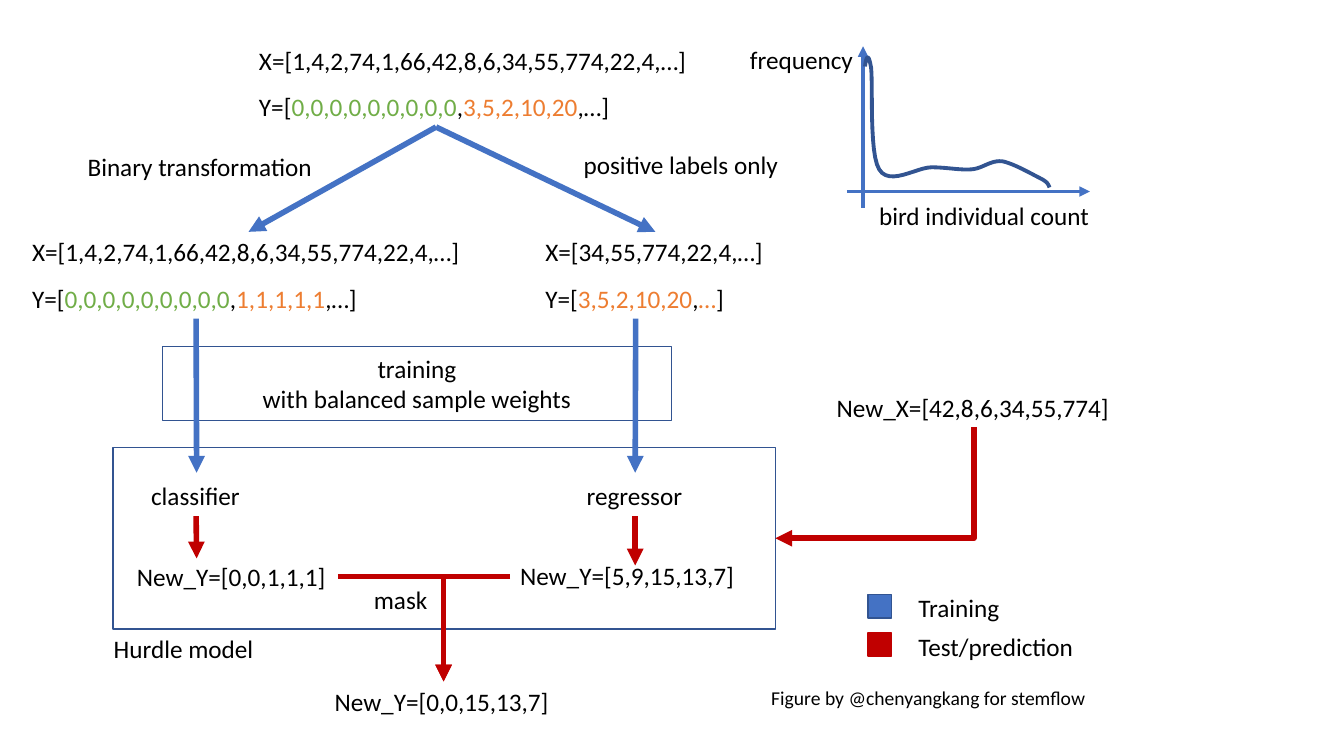
import dataclasses

import pptx
import pptx.dml.color
import pptx.enum.shapes
import pptx.enum.text
import pptx.oxml
import pptx.oxml.ns
import pptx.util

Inches = pptx.util.Inches
RECTANGLE = pptx.enum.shapes.MSO_SHAPE.RECTANGLE
CONNECTOR = pptx.enum.shapes.MSO_CONNECTOR
ALIGN = pptx.enum.text.PP_ALIGN
TOP, BOTTOM = 0, 2
LINE_HEIGHT = 0.4


@dataclasses.dataclass(frozen=True)
class Theme:
    font: str = "Calibri"
    body: int = 18
    credit: int = 14
    text: str = "000000"
    training: str = "4472C4"
    prediction: str = "C00000"
    outline: str = "325491"
    zero: str = "70AD47"
    positive: str = "ED7D31"
    flow_width: float = 4
    axis_width: float = 2.5
    curve_width: float = 2.75


THEME = Theme()


def rgb(value):
    return pptx.dml.color.RGBColor.from_string(value)


def write(frame, text, size=THEME.body, align=ALIGN.LEFT):
    """Fill a frame; text is a string or a list of (text, colour) runs."""
    runs = [(text, THEME.text)] if isinstance(text, str) else text
    paragraph = frame.paragraphs[0]
    paragraph.alignment = align
    for content, colour in runs:
        run = paragraph.add_run()
        run.text = content
        run.font.name = THEME.font
        run.font.size = pptx.util.Pt(size)
        run.font.color.rgb = rgb(colour)


def label(slide, text, left, top, width, height=LINE_HEIGHT, **text_format):
    shape = slide.shapes.add_textbox(*map(Inches, (left, top, width, height)))
    shape.text_frame.word_wrap = False
    shape.text_frame.auto_size = pptx.enum.text.MSO_AUTO_SIZE.SHAPE_TO_FIT_TEXT
    write(shape.text_frame, text, **text_format)
    return shape


def rectangle(slide, box, fill=None, line=THEME.outline):
    shape = slide.shapes.add_shape(RECTANGLE, *map(Inches, box))
    shape.shadow.inherit = False
    if fill:
        shape.fill.solid()
        shape.fill.fore_color.rgb = rgb(fill)
    else:
        shape.fill.background()
    shape.line.color.rgb = rgb(line)
    shape.line.width = pptx.util.Pt(1)
    return shape


def arrow(slide, begin, end, colour, width=THEME.flow_width, kind=CONNECTOR.STRAIGHT):
    connector = slide.shapes.add_connector(kind, *map(Inches, (*begin, *end)))
    connector.line.color.rgb = rgb(colour)
    connector.line.width = pptx.util.Pt(width)
    line = connector.line._get_or_add_ln()
    pptx.oxml.ns.qn("a:ln")
    line.append(pptx.oxml.parse_xml(
        f'<a:tailEnd {pptx.oxml.ns.nsdecls("a")} type="triangle"/>'))
    connector._element.spPr.append(pptx.oxml.parse_xml(
        f'<a:effectLst {pptx.oxml.ns.nsdecls("a")}/>'))
    return connector


def corner_arrow(slide, begin, end, colour, down_first=False):
    """Arrow with a single right-angled bend."""
    if down_first:
        # Swap the sides about the centre, then turn a quarter clockwise
        middle_x, middle_y = (begin[0] + end[0]) / 2, (begin[1] + end[1]) / 2
        half_x, half_y = abs(end[0] - begin[0]) / 2, abs(end[1] - begin[1]) / 2
        begin = (middle_x - half_y, middle_y - half_x)
        end = (middle_x + half_y, middle_y + half_x)
    connector = arrow(slide, begin, end, colour, kind=CONNECTOR.ELBOW)
    properties = connector._element.spPr
    properties.find(pptx.oxml.ns.qn("a:prstGeom")).set("prst", "bentConnector2")
    if down_first:
        properties.find(pptx.oxml.ns.qn("a:xfrm")).set("rot", "5400000")


def dataset(slide, left, top, x_text, x_width, y_runs, y_width):
    """An X line above a Y line."""
    x_label = label(slide, x_text, left, top, x_width)
    y_label = label(slide, y_runs, left, top + 0.46, y_width)
    return x_label, y_label


def frequency_chart(slide, left, top):
    """Sketch of the zero-inflated distribution."""
    label(slide, "frequency", left, top, 1.24)
    label(slide, "bird individual count", left + 1.28, top + 1.55, 2.31)
    origin_x, origin_y = left + 1.22, top + 1.51
    for begin, end in (((-0.16, 0), (2.25, 0)), ((0, 0.16), (0, -1.44))):
        arrow(slide, (origin_x + begin[0], origin_y + begin[1]),
              (origin_x + end[0], origin_y + end[1]),
              THEME.training, THEME.axis_width)

    # Bezier pieces: two handles and an end, measured from the chart's corner
    pieces = [
        ((1.25, 0.19), (1.27, 0.11), (1.3, 0.28)),
        ((1.32, 0.45), (1.28, 1.13), (1.38, 1.29)),
        ((1.48, 1.46), (1.75, 1.27), (1.9, 1.27)),
        ((2.05, 1.27), (2.18, 1.3), (2.3, 1.29)),
        ((2.41, 1.28), (2.48, 1.2), (2.6, 1.21)),
        ((2.71, 1.23), (2.9, 1.34), (2.98, 1.38)),
        ((3.06, 1.42), (3.06, 1.45), (3.07, 1.47)),
    ]
    steps = 12
    start = (1.24, 0.27)
    points = [start]
    for first, second, end in pieces:
        for t in (step / steps for step in range(1, steps + 1)):
            weights = ((1 - t) ** 3, 3 * t * (1 - t) ** 2, 3 * t ** 2 * (1 - t), t ** 3)
            points.append(tuple(
                sum(weight * value for weight, value in zip(weights, values))
                for values in zip(start, first, second, end)))
        start = end
    points = [(Inches(left + x), Inches(top + y)) for x, y in points]
    builder = slide.shapes.build_freeform(*points[0])
    builder.add_line_segments(points[1:], close=False)
    curve = builder.convert_to_shape()
    curve.shadow.inherit = False
    curve.fill.background()
    curve.line.color.rgb = rgb(THEME.outline)
    curve.line.width = pptx.util.Pt(THEME.curve_width)


def data_split(slide, left, top):
    """Full data and its two derived sets; returns the two derived Y labels."""
    full_x = "X=[1,4,2,74,1,66,42,8,6,34,55,774,22,4,…]"
    opening, comma, closing = [(part, THEME.text) for part in ("Y=[", ",", ",…]")]
    zeros = ("0,0,0,0,0,0,0,0,0", THEME.zero)
    counts = ("3,5,2,10,20", THEME.positive)
    ones = ("1,1,1,1,1", THEME.positive)
    _, source = dataset(slide, left + 2.25, top, full_x, 4.49,
                        [opening, zeros, comma, counts, closing], 3.71)
    binary = dataset(slide, left, top + 1.9, full_x, 4.49,
                     [opening, zeros, comma, ones, closing], 3.45)
    positive = dataset(slide, left + 5.09, top + 1.9, "X=[34,55,774,22,4,…]", 2.38,
                       [opening, counts, comma, ("…", THEME.positive),
                        ("]", THEME.text)], 1.99)
    for x_label, _ in (binary, positive):
        branch = arrow(slide, (left, top), (left + 1, top + 1), THEME.training)
        branch.begin_connect(source, BOTTOM)
        branch.end_connect(x_label, TOP)
    label(slide, "Binary transformation", left + 0.55, top + 1.05, 2.45)
    label(slide, "positive labels only", left + 5.47, top + 1.03, 2.15)
    return binary[1], positive[1]


def training_box(slide, box):
    shape = rectangle(slide, box)
    shape.text_frame.vertical_anchor = pptx.enum.text.MSO_ANCHOR.MIDDLE
    write(shape.text_frame, "training", align=ALIGN.CENTER)
    shape.text_frame.add_paragraph()
    paragraph = shape.text_frame.paragraphs[1]
    paragraph.alignment = ALIGN.CENTER
    run = paragraph.add_run()
    run.text = "with balanced sample weights"
    run.font.name = THEME.font
    run.font.size = pptx.util.Pt(THEME.body)
    run.font.color.rgb = rgb(THEME.text)


def hurdle_model(slide, box, training_labels):
    """Classifier and regressor, masked into one prediction."""
    left, top, width, height = box
    rectangle(slide, box)
    models = [("classifier", 0.28, 1.09, 0.83, 1.1), ("regressor", 4.6, 1.16, 5.18, 1.17)]
    for (name, offset, label_width, center, end), source in zip(models, training_labels):
        model = label(slide, name, left + offset, top + 0.28, label_width)
        train = arrow(slide, (left, top), (left + center, top + 0.25), THEME.training)
        train.begin_connect(source, BOTTOM)
        predict = arrow(slide, (left, top), (left + center, top + end), THEME.prediction)
        predict.begin_connect(model, BOTTOM)
    label(slide, "New_Y=[0,0,1,1,1]", left + 0.14, top + 1.08, 2.09)
    label(slide, "New_Y=[5,9,15,13,7]", left + 3.94, top + 1.07, 2.35)
    for offset in (2.23, 3.94):
        corner_arrow(slide, (left + offset, top + 1.28), (left + 3.28, top + 2.32),
                     THEME.prediction)
    label(slide, "mask", left + 2.49, top + 1.31, 0.74)
    label(slide, "New_Y=[0,0,15,13,7]", left + 2.1, top + 2.32, 2.35)
    label(slide, "Hurdle model", left - 0.09, top + height - 0.01, 1.6)

    # New data entering from the right
    right, middle = left + width, top + height / 2
    label(slide, "New_X=[42,8,6,34,55,774]", right + 0.51, top - 0.6, 2.93)
    corner_arrow(slide, (right + 1.97, top - 0.2), (right, middle),
                 THEME.prediction, down_first=True)


def legend(slide, left, top):
    entries = [("Training", 1.01, THEME.training, THEME.outline),
               ("Test/prediction", 1.76, THEME.prediction, THEME.prediction)]
    for index, (name, width, fill, line) in enumerate(entries):
        row = top + index * 0.38
        rectangle(slide, (left, row + 0.07, 0.23, 0.23), fill, line)
        label(slide, name, left + 0.4, row, width)


def main():
    presentation = pptx.Presentation()
    presentation.slide_width, presentation.slide_height = Inches(13.33), Inches(7.5)
    slide = presentation.slides.add_slide(presentation.slide_layouts[6])
    frequency_chart(slide, 7.34, 0.39)
    training_labels = data_split(slide, 0.22, 0.4)
    training_box(slide, (1.61, 3.44, 5.05, 0.73))
    hurdle_model(slide, (1.12, 4.44, 6.57, 1.8), training_labels)
    legend(slide, 8.61, 5.83)
    label(slide, "Figure by @chenyangkang for stemflow", 7.55, 6.76, 3.35, 0.34,
          size=THEME.credit)
    presentation.save("out.pptx")


if __name__ == "__main__":
    main()
